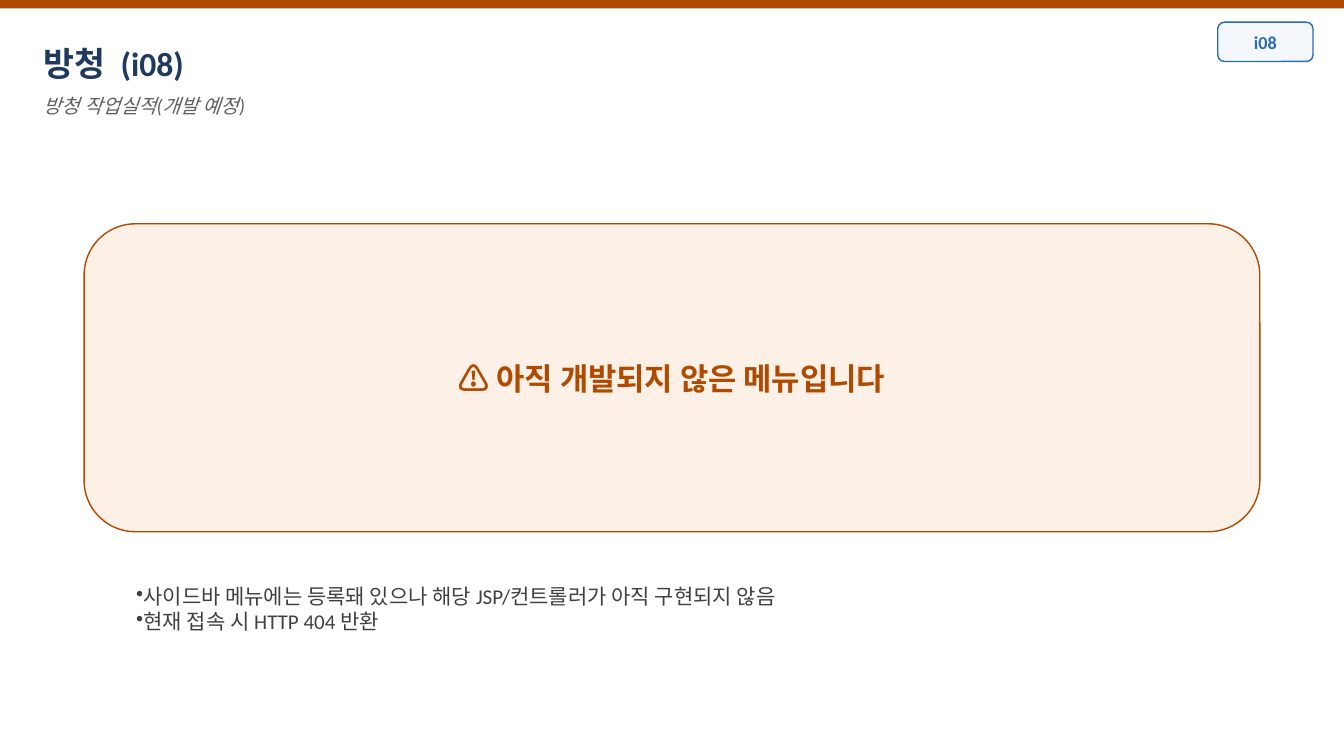
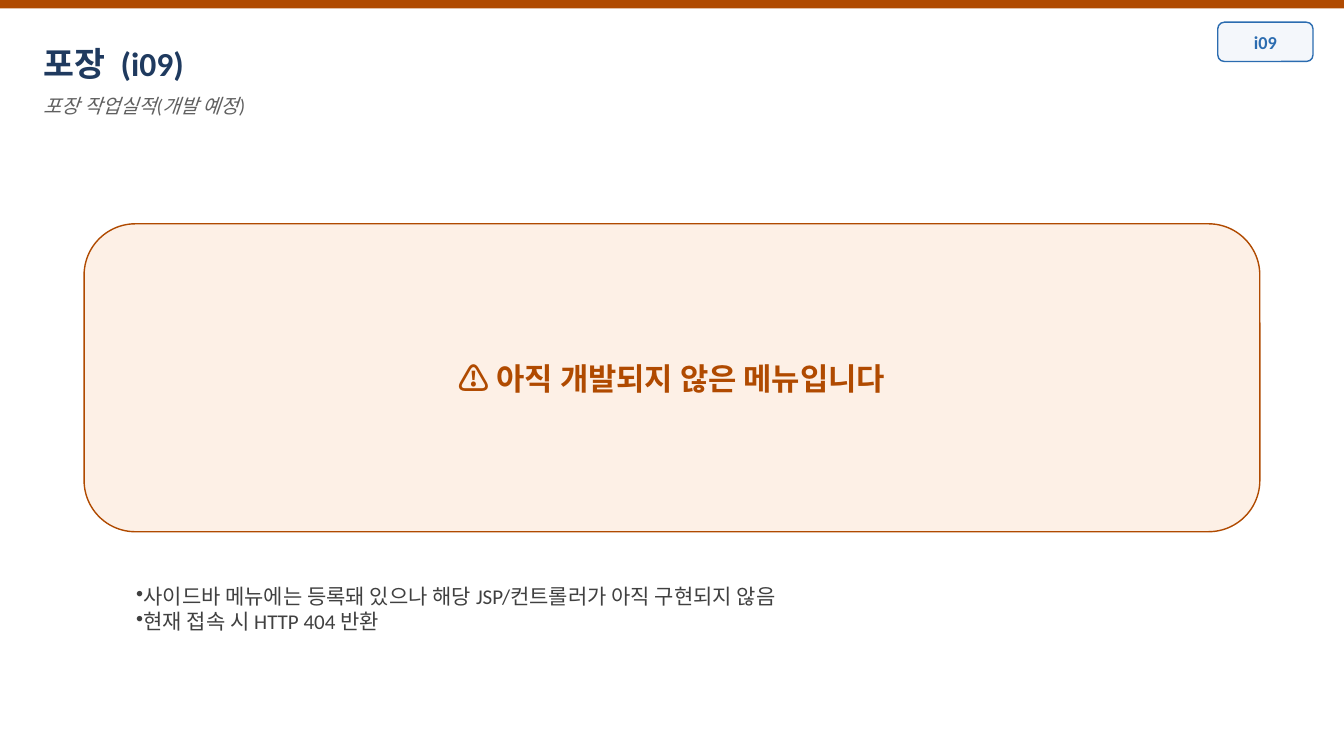
from lxml.etree import SubElement
from pptx import Presentation
from pptx.dml.color import RGBColor
from pptx.enum.shapes import MSO_SHAPE as Shape
from pptx.enum.text import MSO_ANCHOR as Anchor, PP_ALIGN as Align
from pptx.oxml.ns import qn
from pptx.util import Cm, Pt

COLORS = {
    "warning": "B04A00",
    "warning_fill": "FDF0E6",
    "title": "1F3A5F",
    "subtitle": "606060",
    "body": "404040",
    "badge": "2B6CB0",
    "badge_fill": "F4F7FB",
}
FONT = "Calibri"
MARGIN = 0.85
PANEL_LEFT = 2.12
PANEL_WIDTH = 29.63
TEXT_TOP_INSET = 0.6

PROCESSES = [("방청", "i08"), ("포장", "i09")]
WARNING = "⚠ 아직 개발되지 않은 메뉴입니다"
NOTES = [
    "사이드바 메뉴에는 등록돼 있으나 해당 JSP/컨트롤러가 아직 구현되지 않음",
    "현재 접속 시 HTTP 404 반환",
]


def color(name):
    return RGBColor.from_string(COLORS[name])


def write(box, *lines, size, ink, bold=False, italic=False, align=Align.LEFT, bullet=None):
    frame = box.text_frame
    frame.word_wrap = True
    for index, line in enumerate(lines):
        para = frame.add_paragraph() if index else frame.paragraphs[0]
        para.alignment = align
        if bullet:
            properties = para._p.get_or_add_pPr()
            properties.set("marL", str(Cm(0.71)))
            properties.set("indent", str(Cm(0.35)))
            SubElement(properties, qn("a:buChar")).set("char", bullet)
        span = para.add_run()
        span.text = line
        span.font.name = FONT
        span.font.size = Pt(size)
        span.font.bold = bold
        span.font.italic = italic
        span.font.color.rgb = color(ink)


deck = Presentation()
deck.slide_width = Cm(33.87)
deck.slide_height = Cm(19.05)

for process, code in PROCESSES:
    page = deck.slides.add_slide(deck.slide_layouts[6])

    band = page.shapes.add_shape(Shape.RECTANGLE, 0, 0, deck.slide_width, Cm(0.21))
    band.shadow.inherit = False
    band.fill.solid()
    band.fill.fore_color.rgb = color("warning")
    band.line.fill.background()

    texts = [
        ((MARGIN, 0.49, 28.93, 1.27), [f"{process}  ({code})"],
         dict(size=24, ink="title", bold=True)),
        ((MARGIN, 1.76, 31.75, 0.85), [f"{process} 작업실적(개발 예정)"],
         dict(size=14, ink="subtitle", italic=True)),
        ((PANEL_LEFT, 14.11, PANEL_WIDTH, 3.53), NOTES,
         dict(size=15, ink="body", bullet="•")),
    ]
    for bounds, lines, style in texts:
        box = page.shapes.add_textbox(*map(Cm, bounds))
        box.text_frame.margin_top = Cm(TEXT_TOP_INSET)
        write(box, *lines, **style)

    panels = [
        ((30.69, 0.56, 2.4, 0.99), code, 13, "badge"),
        ((PANEL_LEFT, 5.64, PANEL_WIDTH, 7.76), WARNING, 22, "warning"),
    ]
    for bounds, label, size, ink in panels:
        panel = page.shapes.add_shape(Shape.ROUNDED_RECTANGLE, *map(Cm, bounds))
        panel.shadow.inherit = False
        panel.fill.solid()
        panel.fill.fore_color.rgb = color(f"{ink}_fill")
        panel.line.color.rgb = color(ink)
        panel.line.width = Pt(1)
        panel.text_frame.vertical_anchor = Anchor.MIDDLE
        write(panel, label, size=size, ink=ink, bold=True, align=Align.CENTER)

deck.save("out.pptx")
